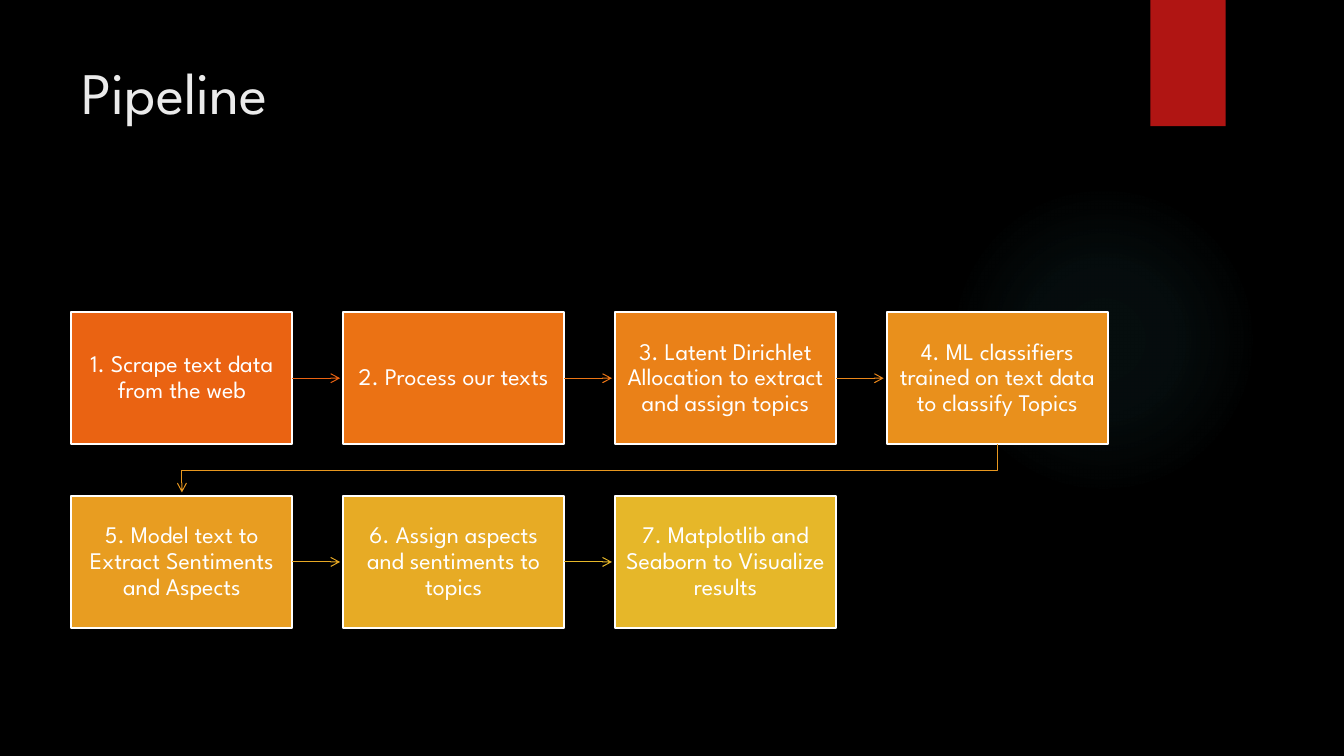
from lxml import etree
from pptx import Presentation
from pptx.dml.color import RGBColor
from pptx.enum.shapes import MSO_CONNECTOR, MSO_SHAPE
from pptx.enum.text import MSO_ANCHOR, PP_ALIGN
from pptx.oxml import parse_xml
from pptx.oxml.ns import qn
from pptx.util import Cm, Pt

TITLE = "Pipeline"
STEPS = [
    ("1. Scrape text data from the web", "EA6312"),
    ("2. Process our texts", "EB7214"),
    ("3. Latent Dirichlet Allocation to extract and assign topics", "EA8118"),
    ("4. ML classifiers trained on text data to classify Topics", "E9901C"),
    ("5. Model text to Extract Sentiments and Aspects", "E89D21"),
    ("6. Assign aspects and sentiments to topics", "E7AB25"),
    ("7. Matplotlib and Seaborn to Visualize results", "E6B729"),
]
ARROW_COLORS = ["EA6312", "EB7515", "EA871A", "E8981F", "E7A824", "E6B729"]
GLOW_STOPS = [(0, 7), (36, 6), (69, 0)]
GLOW_COLOR = "50B9C1"
FONT = "League Spartan"

COLUMNS = 4
LEFT, TOP = 1.8, 7.86
BOX_WIDTH, BOX_HEIGHT = 5.57, 3.34
COLUMN_STEP, ROW_STEP = 6.85, 4.63
ARROW_GAP = 0.08


def color(value):
    return RGBColor.from_string(value)


def add_filled(page, kind, left, top, width, height, fill):
    shape = page.shapes.add_shape(kind, Cm(left), Cm(top), Cm(width), Cm(height))
    shape.shadow.inherit = False
    shape.fill.solid()
    shape.fill.fore_color.rgb = color(fill)
    shape.line.fill.background()
    return shape


def style_text(para, text, size, font_color):
    para.text = text
    para.font.name = FONT
    para.font.size = Pt(size)
    para.font.color.rgb = color(font_color)


def add_glow(page):
    glow = add_filled(page, MSO_SHAPE.OVAL, 23.9, 4.65, 7.82, 7.82, GLOW_COLOR)
    stops = "".join(
        f'<a:gs pos="{position * 1000}"><a:srgbClr val="{GLOW_COLOR}">'
        f'<a:alpha val="{alpha * 1000}"/></a:srgbClr></a:gs>'
        for position, alpha in GLOW_STOPS
    )
    gradient = parse_xml(
        '<a:gradFill xmlns:a="http://schemas.openxmlformats.org/drawingml/2006/main">'
        f'<a:gsLst>{stops}</a:gsLst><a:path path="circle">'
        '<a:fillToRect l="50000" t="50000" r="50000" b="50000"/></a:path></a:gradFill>'
    )
    properties = glow._element.spPr
    properties.replace(properties.find(qn("a:solidFill")), gradient)


def add_title(page):
    box = page.shapes.add_textbox(Cm(LEFT), Cm(1.27), Cm(26.14), Cm(3.89))
    box.text_frame.word_wrap = True
    style_text(box.text_frame.paragraphs[0], TITLE, 42, "EBEBEB")


def box_origin(index):
    row, column = divmod(index, COLUMNS)
    return LEFT + column * COLUMN_STEP, TOP + row * ROW_STEP


def add_step(page, index, text, fill):
    box = add_filled(page, MSO_SHAPE.RECTANGLE, *box_origin(index), BOX_WIDTH, BOX_HEIGHT, fill)
    box.line.color.rgb = color("FFFFFF")
    box.line.width = Pt(1.5)
    frame = box.text_frame
    frame.word_wrap = True
    frame.vertical_anchor = MSO_ANCHOR.MIDDLE
    frame.margin_left = frame.margin_right = Cm(0.28)
    frame.margin_top = frame.margin_bottom = Cm(0.28)
    para = frame.paragraphs[0]
    style_text(para, text, 17, "FFFFFF")
    para.alignment = PP_ALIGN.CENTER
    para.line_spacing = 0.9
    return box


def add_straight_arrow(page, index, boxes):
    left, top = box_origin(index)
    middle = Cm(top + BOX_HEIGHT / 2)
    end = Cm(left + COLUMN_STEP - ARROW_GAP)
    arrow = page.shapes.add_connector(
        MSO_CONNECTOR.STRAIGHT, Cm(left + BOX_WIDTH), middle, end, middle
    )
    arrow.begin_connect(boxes[index], 3)
    etree.SubElement(arrow._element.spPr, qn("a:effectLst"))
    return arrow


def add_turning_arrow(page, index):
    left, top = box_origin(index)
    next_left, next_top = box_origin(index + 1)
    start_x, end_x = left + BOX_WIDTH / 2, next_left + BOX_WIDTH / 2
    bottom = top + BOX_HEIGHT
    turn = (bottom + next_top) / 2
    builder = page.shapes.build_freeform(Cm(start_x), Cm(bottom))
    corners = [(start_x, turn), (end_x, turn), (end_x, next_top - ARROW_GAP)]
    builder.add_line_segments([(Cm(x), Cm(y)) for x, y in corners], close=False)
    arrow = builder.convert_to_shape()
    arrow.shadow.inherit = False
    arrow.fill.background()
    return arrow


def style_arrow(arrow, line_color):
    arrow.line.color.rgb = color(line_color)
    arrow.line.width = Pt(0.75)
    line = arrow._element.spPr.find(qn("a:ln"))
    etree.SubElement(line, qn("a:tailEnd"), type="arrow")


def main():
    deck = Presentation()
    deck.slide_width, deck.slide_height = Cm(33.87), Cm(19.05)
    page = deck.slides.add_slide(deck.slide_layouts[6])
    page.background.fill.solid()
    page.background.fill.fore_color.rgb = color("000000")

    add_glow(page)
    add_filled(page, MSO_SHAPE.RECTANGLE, 28.99, 0, 1.9, 3.18, "B01513")
    add_title(page)

    boxes = [add_step(page, index, *step) for index, step in enumerate(STEPS)]
    for index, line_color in enumerate(ARROW_COLORS):
        if (index + 1) % COLUMNS:
            arrow = add_straight_arrow(page, index, boxes)
        else:
            arrow = add_turning_arrow(page, index)
        style_arrow(arrow, line_color)

    deck.save("out.pptx")


if __name__ == "__main__":
    main()
